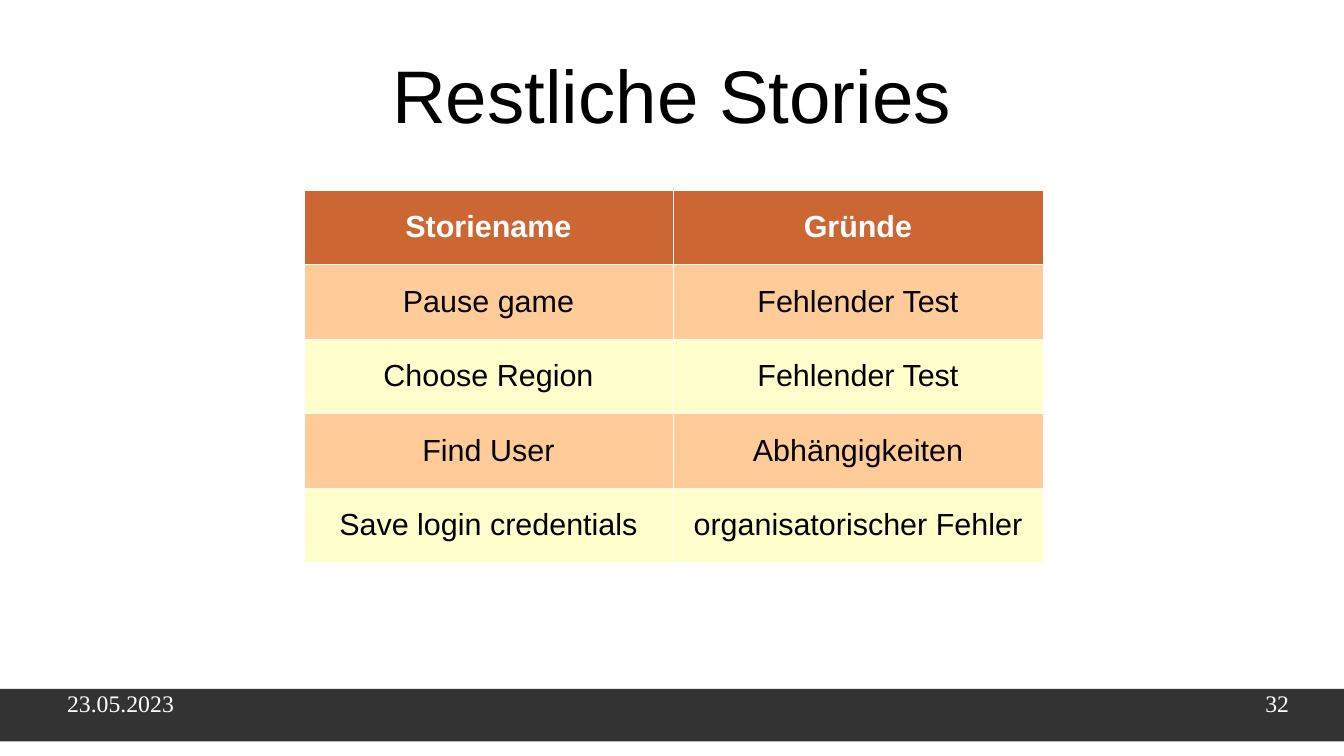
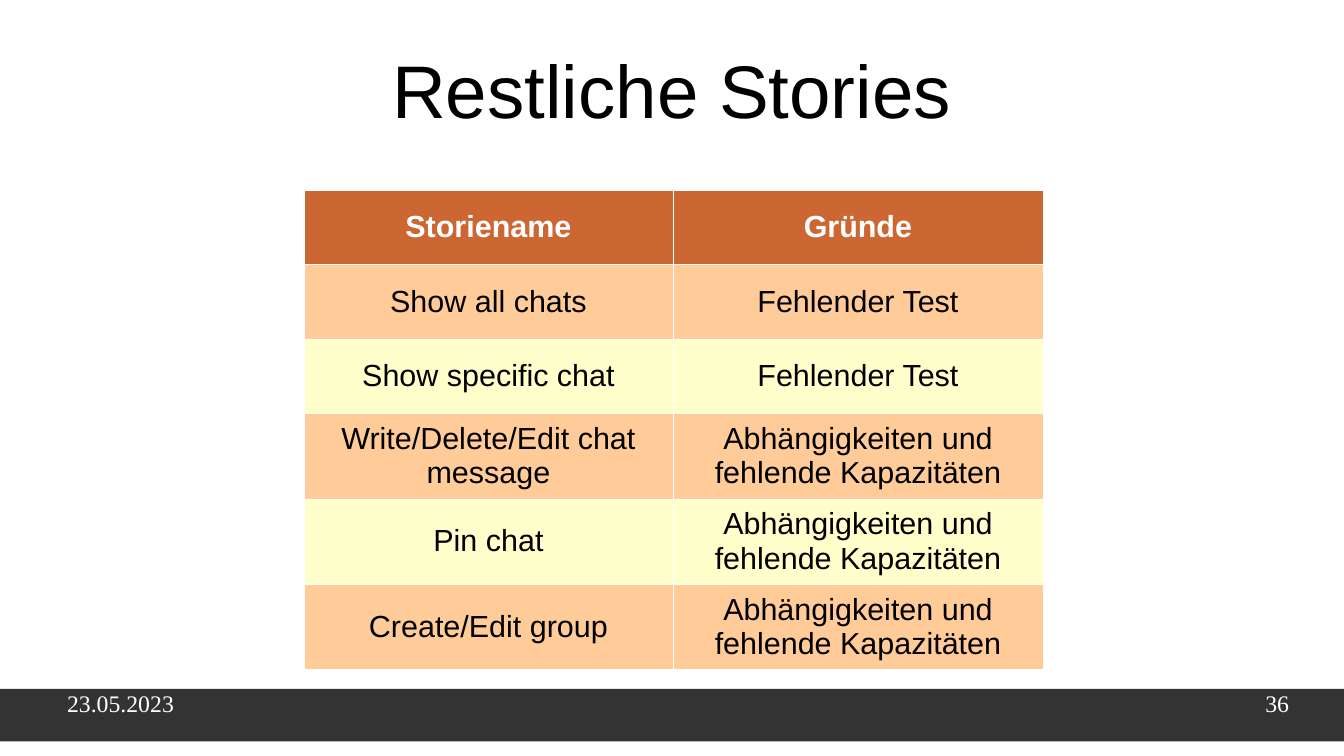
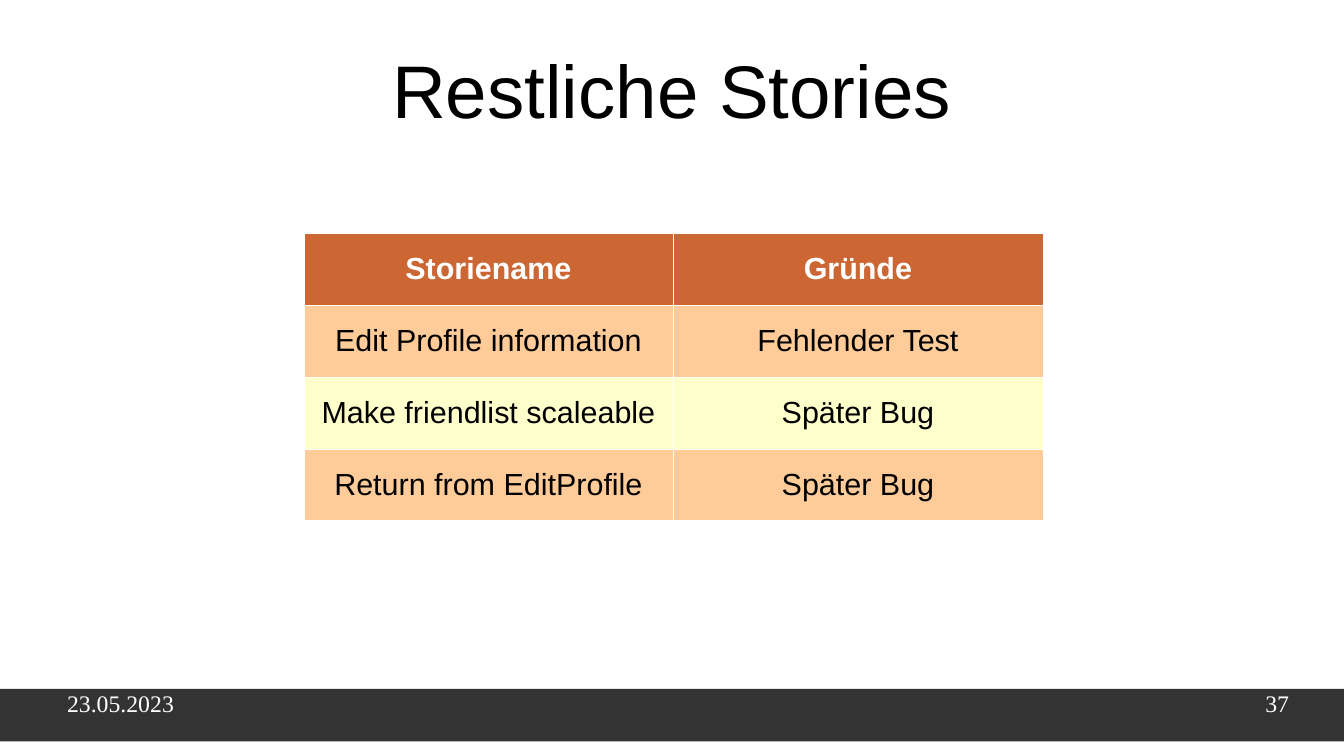
from lxml import etree
from pptx import Presentation
from pptx import util as u
from pptx.dml import color
from pptx.enum import shapes, text
from pptx.oxml import ns

WHITE, BLACK, BAND = "FFFFFF", "000000", "333333"
HEADER, STRIPES = "CC6633", ("FFCC99", "FFFFCC")
SLIDE_WIDTH, SLIDE_HEIGHT = 11.02, 6.2
BAND_TOP, BAND_HEIGHT = 5.65, 0.43
TABLE_LEFT, COLUMN_WIDTH = 2.49, 3.03
TITLE = "Restliche Stories"
DATE = "23.05.2023"
HEADINGS = ("Storiename", "Gründe")
NO_CAPACITY = "Abhängigkeiten und fehlende Kapazitäten"

SLIDES = [
    {
        "number": 32, "title_top": 0.25, "table_top": 1.56,
        "heights": [0.61] * 5,
        "stories": [
            ("Pause game", "Fehlender Test"),
            ("Choose Region", "Fehlender Test"),
            ("Find User", "Abhängigkeiten"),
            ("Save login credentials", "organisatorischer Fehler"),
        ],
    },
    {
        "number": 36, "title_top": 0.21, "table_top": 1.56,
        "heights": [0.61] * 3 + [0.68] * 3,
        "stories": [
            ("Show all chats", "Fehlender Test"),
            ("Show specific chat", "Fehlender Test"),
            ("Write/Delete/Edit chat message", NO_CAPACITY),
            ("Pin chat", NO_CAPACITY),
            ("Create/Edit group", NO_CAPACITY),
        ],
    },
    {
        "number": 37, "title_top": 0.21, "table_top": 1.91,
        "heights": [0.59] * 4,
        "stories": [
            ("Edit Profile information", "Fehlender Test"),
            ("Make friendlist scaleable", "Später Bug"),
            ("Return from EditProfile", "Später Bug"),
        ],
    },
]


def rgb(value):
    """Turn a hex string into a colour."""
    return color.RGBColor.from_string(value)


def write(frame, content, size, font, colour, align, bold=False):
    """Put one formatted paragraph into a text frame."""
    frame.text = content
    frame.word_wrap = True
    paragraph = frame.paragraphs[0]
    paragraph.alignment = align
    for run in paragraph.runs:
        run.font.size = u.Pt(size)
        run.font.name = font
        run.font.bold = bold
        run.font.color.rgb = rgb(colour)


def clear_margins(frame):
    """Remove the inner margins of a text frame."""
    frame.margin_left = frame.margin_right = 0
    frame.margin_top = frame.margin_bottom = 0


def add_title(slide, top):
    """Place and format the title placeholder."""
    title = slide.shapes.title
    title.left, title.top = u.Inches(0.55), u.Inches(top)
    title.width, title.height = u.Inches(9.92), u.Inches(1.04)
    frame = title.text_frame
    write(frame, TITLE, 44, "Arial", BLACK, text.PP_ALIGN.CENTER)
    clear_margins(frame)
    frame.auto_size = text.MSO_AUTO_SIZE.NONE
    frame.vertical_anchor = text.MSO_ANCHOR.MIDDLE


def add_footer_text(slide, left, content, align):
    """Add one text on the footer band."""
    box = slide.shapes.add_textbox(u.Inches(left), u.Inches(BAND_TOP),
                                   u.Inches(2.57), u.Inches(BAND_HEIGHT))
    write(box.text_frame, content, 14, "Times New Roman", WHITE, align)
    clear_margins(box.text_frame)


def add_footer(slide, number):
    """Add the dark band with the date and the slide number."""
    band = slide.shapes.add_shape(
        shapes.MSO_SHAPE.RECTANGLE, 0, u.Inches(BAND_TOP),
        u.Inches(SLIDE_WIDTH), u.Inches(BAND_HEIGHT))
    band.shadow.inherit = False
    band.fill.solid()
    band.fill.fore_color.rgb = rgb(BAND)
    band.line.fill.background()
    add_footer_text(slide, 0.55, DATE, text.PP_ALIGN.LEFT)
    add_footer_text(slide, 8, str(number), text.PP_ALIGN.RIGHT)


def add_borders(cell):
    """Give a cell thin white borders."""
    properties = cell._tc.get_or_add_tcPr()
    for side in ("lnL", "lnR", "lnT", "lnB"):
        line = etree.SubElement(properties, ns.qn(f"a:{side}"),
                                w=str(u.Pt(0.11)))
        fill = etree.SubElement(line, ns.qn("a:solidFill"))
        etree.SubElement(fill, ns.qn("a:srgbClr"), val=WHITE)


def format_cell(cell, content, row):
    """Fill one cell according to its row."""
    is_header = row == 0
    write(cell.text_frame, content, 18, "Arial",
          WHITE if is_header else BLACK, text.PP_ALIGN.CENTER, is_header)
    cell.vertical_anchor = text.MSO_ANCHOR.MIDDLE
    add_borders(cell)
    cell.fill.solid()
    cell.fill.fore_color.rgb = rgb(HEADER if is_header
                                   else STRIPES[(row - 1) % 2])


def add_story_table(slide, top, heights, stories):
    """Add the table of stories and reasons."""
    rows = [HEADINGS, *stories]
    table = slide.shapes.add_table(
        len(rows), len(HEADINGS), u.Inches(TABLE_LEFT), u.Inches(top),
        u.Inches(COLUMN_WIDTH * len(HEADINGS)),
        u.Inches(sum(heights))).table
    table.first_row = table.horz_banding = False
    for row, (height, contents) in enumerate(zip(heights, rows)):
        table.rows[row].height = u.Inches(height)
        for column, content in enumerate(contents):
            format_cell(table.cell(row, column), content, row)


def main():
    """Build and save the presentation."""
    presentation = Presentation()
    presentation.slide_width = u.Inches(SLIDE_WIDTH)
    presentation.slide_height = u.Inches(SLIDE_HEIGHT)
    title_only = presentation.slide_layouts[5]
    for data in SLIDES:
        slide = presentation.slides.add_slide(title_only)
        add_footer(slide, data["number"])
        add_title(slide, data["title_top"])
        add_story_table(slide, data["table_top"], data["heights"],
                        data["stories"])
    presentation.save("out.pptx")


if __name__ == "__main__":
    main()
